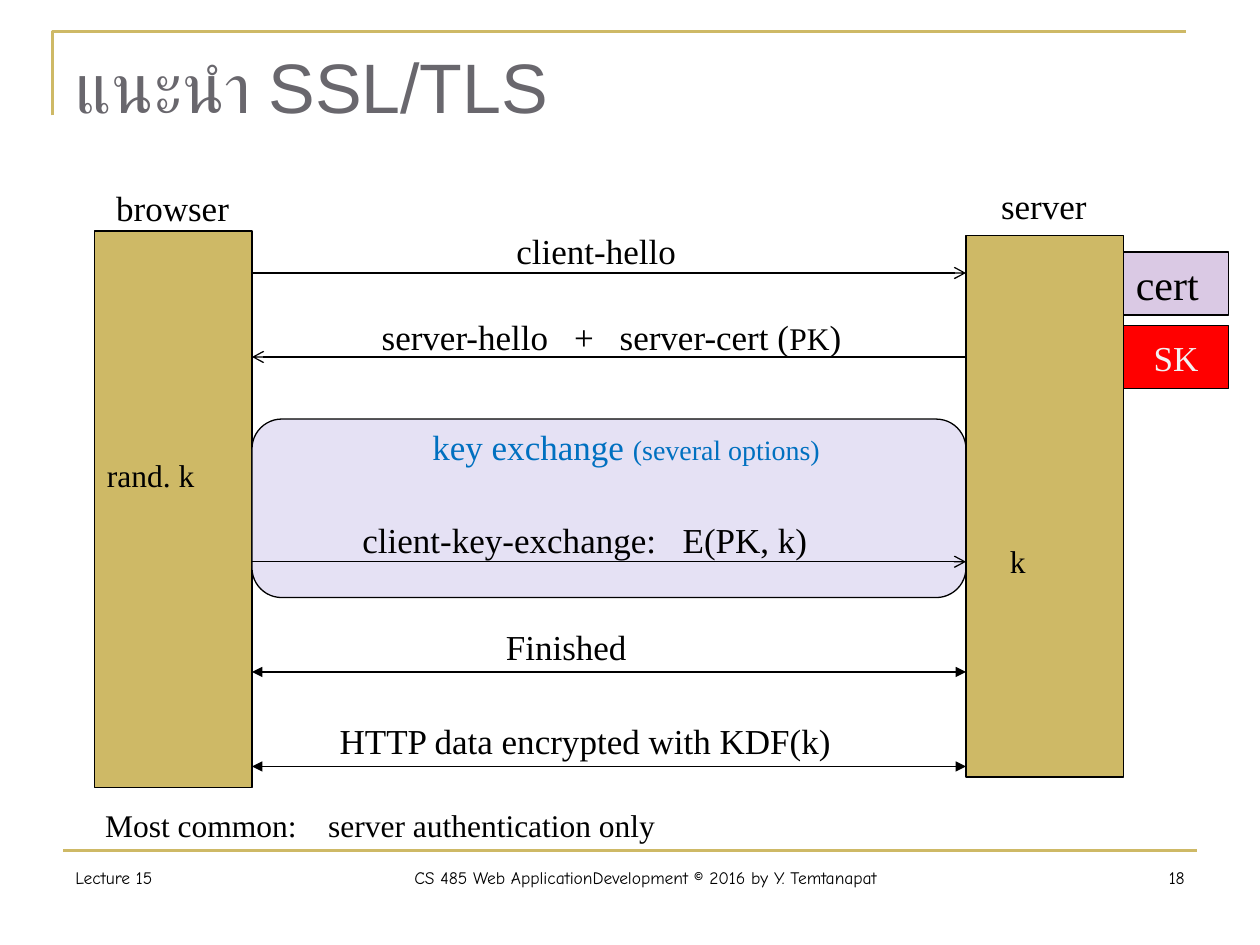
from lxml import etree
from pptx import Presentation
from pptx.dml.color import RGBColor
from pptx.enum import shapes, text
from pptx.oxml.ns import qn
from pptx.util import Pt

GOLD, BLACK = "CEB966", "000000"
SERIF, SANS, HAND = "Times New Roman", "Arial", "Comic Neue"
LEFT, CENTER, RIGHT = text.PP_ALIGN.LEFT, text.PP_ALIGN.CENTER, text.PP_ALIGN.RIGHT
TOP, MIDDLE = text.MSO_ANCHOR.TOP, text.MSO_ANCHOR.MIDDLE


def color(hex_value):
    return RGBColor.from_string(hex_value)


def apply(target, values):
    for name, value in values.items():
        setattr(target, name, value)


def write(frame, runs, font=SERIF, ink=BLACK, align=LEFT, anchor=TOP, tabs=()):
    apply(frame, {"word_wrap": True, "vertical_anchor": anchor, "margin_right": Pt(7.2)})
    paragraph = frame.paragraphs[0]
    paragraph.alignment = align
    if tabs:
        stops = etree.SubElement(paragraph._p.get_or_add_pPr(), qn("a:tabLst"))
        for stop in tabs:
            etree.SubElement(stops, qn("a:tab"), pos=str(int(Pt(stop))), algn="l")
    for words, size in runs:
        run = paragraph.add_run()
        run.text = words
        apply(run.font, {"name": font, "size": Pt(size)})
        run.font.color.rgb = color(ink)


def label(slide, box, runs, **style):
    caption = slide.shapes.add_textbox(*map(Pt, box))
    write(caption.text_frame, runs, **style)
    if style.get("align", LEFT) == LEFT:
        caption.text_frame.margin_right = 0


def outline(shape, fill, ink, width):
    shape.shadow.inherit = False
    if fill:
        shape.fill.solid()
        shape.fill.fore_color.rgb = color(fill)
    else:
        shape.fill.background()
    shape.line.color.rgb = color(ink)
    shape.line.width = Pt(width)


def block(slide, box, fill, kind=shapes.MSO_SHAPE.RECTANGLE):
    panel = slide.shapes.add_shape(kind, *map(Pt, box))
    outline(panel, fill, BLACK, 0.75)
    return panel


def rule(slide, start, end, ink=BLACK, width=0.75, head=None, tail=None):
    stroke = slide.shapes.add_connector(
        shapes.MSO_CONNECTOR.STRAIGHT, *map(Pt, (*start, *end)))
    stroke.line.color.rgb = color(ink)
    stroke.line.width = Pt(width)
    line = stroke.line._get_or_add_ln()
    for tag, tip in (("a:headEnd", head), ("a:tailEnd", tail)):
        if tip:
            etree.SubElement(line, qn(tag), type=tip)
    etree.SubElement(stroke._element.spPr, qn("a:effectLst"))


def header(slide, box):
    left, top, width, height = box
    corner = slide.shapes.build_freeform(Pt(left - 6), Pt(top + 44.5))
    corner.add_line_segments(
        [(Pt(left - 6), Pt(top - 3.5)), (Pt(left + width - 6), Pt(top - 3.5))], close=False)
    outline(corner.convert_to_shape(), None, GOLD, 1.5)
    title = slide.shapes.title
    apply(title, dict(zip(("left", "top", "width", "height"), map(Pt, box))))
    write(title.text_frame, [("แนะนำ SSL/TLS", 40)], font=SANS, ink="69676D")


def footer(slide, box):
    left, top, width, height = box
    rule(slide, (left, top - 6), (left + width, top - 6), GOLD, 1.5)
    parts = (("Lecture 15", 116, LEFT),
             ("CS 485 Web ApplicationDevelopment © 2016 by Y. Temtanapat", 433.5, CENTER),
             ("18", 98.5, RIGHT))
    for words, part_width, align in parts:
        label(slide, (left, top, part_width, height), [(words, 10)], font=HAND, align=align)
        left += part_width


def browser(slide, box):
    left, top, width, height = box
    block(slide, box, GOLD)
    label(slide, (left + 5.25, top - 29, 79, 31.5), [("browser", 20)])
    label(slide, (left, top + 125, width, 29), [("rand. k", 18)])


def server(slide, box):
    left, top, width, height = box
    block(slide, box, GOLD)
    label(slide, (left + 13, top - 32.5, 64, 31.5), [("server", 20)])
    label(slide, (left + 18, top + 171.5, 24, 29), [("k", 18)])
    right = left + width
    cert = block(slide, (right, top + 9.5, 60, 36), "DAC9E4")
    write(cert.text_frame, [("cert", 24)])
    secret_key = block(slide, (right, top + 51.5, 60, 36), "FF0000")
    write(secret_key.text_frame, [("SK", 20)], ink="F2F2F2", align=CENTER, anchor=MIDDLE)


def key_exchange(slide, box):
    left, top, width, height = box
    block(slide, box, "E5E1F4", shapes.MSO_SHAPE.ROUNDED_RECTANGLE)
    label(slide, (left + 96, top, 238, 31.5),
          [("key exchange ", 20), ("(several options)", 16)], ink="0070C0")


def messages(slide, box):
    left, top, width, height = box
    right = left + width
    to_server = {"tail": "arrow"}
    to_browser = {"head": "arrow"}
    both_ways = {"head": "triangle", "tail": "triangle"}
    rows = (
        (24, 28.5, 144, 106, [("client-hello", 20)], (), to_server),
        (72, 27.5, 67, 279,
         [("server-hello\t+\tserver-cert (", 20), ("PK", 18), (")", 20)], (110, 136), to_browser),
        (189, 28, 56, 276, [("client-key-exchange:\tE(PK, k)", 20)], (183,), to_server),
        (252, 30, 138, 84, [("Finished", 20)], (), both_ways),
        (306, 30.5, 43, 297, [("HTTP data encrypted with KDF(k)", 20)], (), both_ways),
    )
    for down, lift, indent, label_width, runs, tabs, tips in rows:
        level = top + down
        rule(slide, (left, level), (right, level), **tips)
        label(slide, (left + indent, level - lift, label_width, 31.5), runs, tabs=tabs)


def main():
    deck = Presentation()
    apply(deck, {"slide_width": Pt(720), "slide_height": Pt(540)})
    slide = deck.slides.add_slide(deck.slide_layouts[5])
    header(slide, (36, 21.5, 648, 90))
    browser(slide, (54, 132, 90, 318))
    key_exchange(slide, (144, 239.5, 408, 102))
    server(slide, (552, 134.5, 90, 309.5))
    messages(slide, (144, 132, 408, 318))
    label(slide, (53, 457, 332, 29),
          [("Most common:\tserver authentication only", 18)], tabs=(127.5,))
    footer(slide, (36, 492, 648, 36))
    deck.save("out.pptx")


if __name__ == "__main__":
    main()
